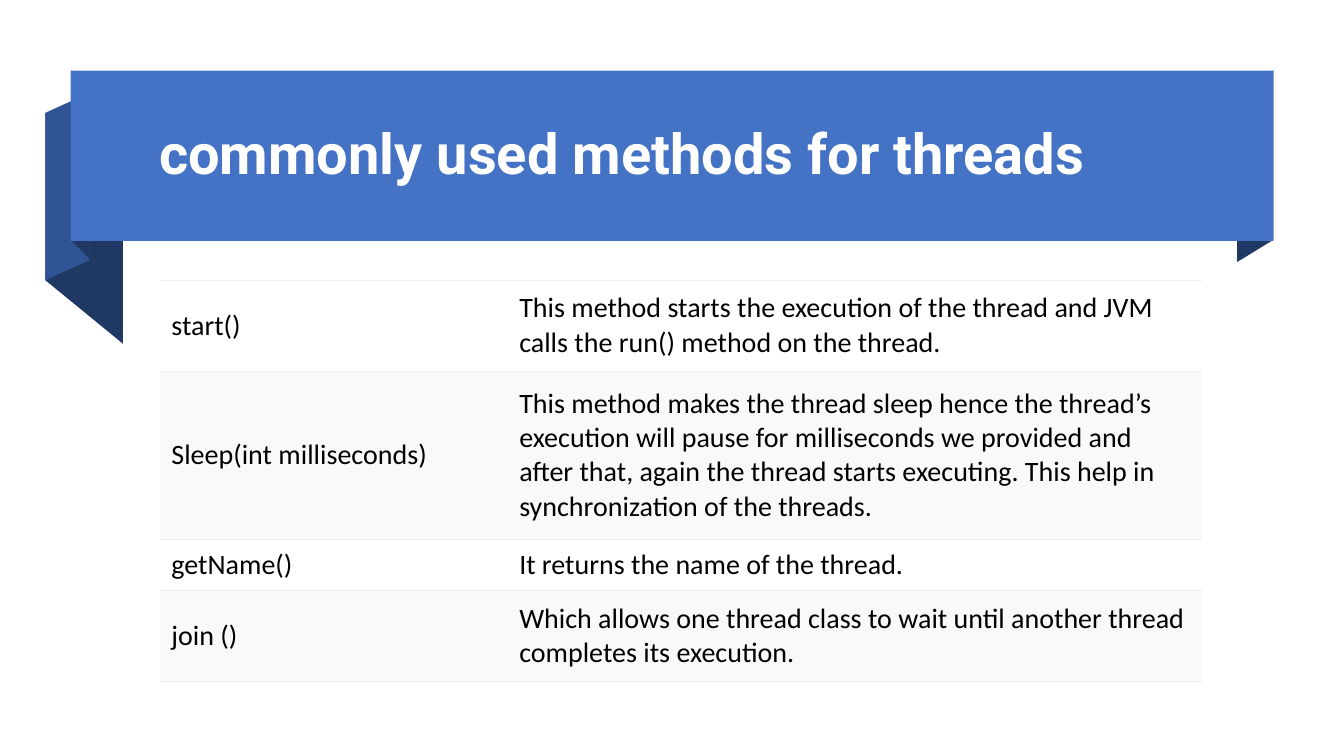
from dataclasses import dataclass
from lxml.etree import SubElement
from pptx import Presentation
from pptx.dml.color import RGBColor
from pptx.enum.shapes import MSO_SHAPE as Shape
from pptx.enum.text import MSO_ANCHOR as Anchor
from pptx.oxml import parse_xml
from pptx.oxml.ns import nsdecls, qn
from pptx.util import Inches, Pt


@dataclass(frozen=True)
class Theme:
    banner: str = "4472C4"
    fold: str = "2F5597"
    shade: str = "203864"
    title_text: str = "FFFFFF"
    body_text: str = "000000"
    rule: str = "EEEEEE"
    bands: tuple = ("FFFFFF", "F9F9F9")
    title_font: str = "Roboto"
    body_font: str = "Calibri"
    title_size: int = 40
    body_size: int = 20


class SlideBuilder:
    """Draw styled elements on one slide."""

    def __init__(self, slide, theme):
        self.slide, self.theme = slide, theme

    def apply(self, target, formats):
        for name, value in formats.items():
            setattr(target, name, value)

    def paint(self, shape, color):
        shape.shadow.inherit = False
        shape.fill.solid()
        shape.fill.fore_color.rgb = RGBColor.from_string(color)
        shape.line.fill.background()

    def add_text(self, frame, text, color, **formats):
        paragraph = frame.paragraphs[0]
        run = paragraph.add_run()
        run.text = text
        self.apply(run.font, formats)
        run.font.color.rgb = RGBColor.from_string(color)
        return paragraph

    def ribbon(self, points, color):
        corners = [(Inches(x), Inches(y)) for x, y in points]
        builder = self.slide.shapes.build_freeform(*corners[0])
        builder.add_line_segments(corners[1:], close=True)
        self.paint(builder.convert_to_shape(), color)

    def banner(self, *box):
        shape = self.slide.shapes.add_shape(Shape.RECTANGLE, *map(Inches, box))
        self.paint(shape, self.theme.banner)

    def title(self, text, *box):
        frame = self.slide.shapes.add_textbox(*map(Inches, box)).text_frame
        self.apply(frame, {"word_wrap": True, "vertical_anchor": Anchor.MIDDLE})
        paragraph = self.add_text(frame, text, self.theme.title_text, bold=True,
                                  name=self.theme.title_font, size=Pt(self.theme.title_size))
        paragraph.line_spacing = 0.9

    def borders(self, cell):
        properties = cell._tc.get_or_add_tcPr()
        for position, side in enumerate(("lnL", "lnR", "lnT", "lnB")):
            line = parse_xml(f'<a:{side} {nsdecls("a")} w="{Pt(0.5)}"/>')
            if side in ("lnT", "lnB"):
                fill = SubElement(line, qn("a:solidFill"))
                SubElement(fill, qn("a:srgbClr"), val=self.theme.rule)
            else:
                SubElement(line, qn("a:noFill"))
            properties.insert(position, line)

    def cell(self, cell, text, color):
        self.apply(cell, {"vertical_anchor": Anchor.MIDDLE,
                          "margin_left": Inches(0.11), "margin_right": Inches(0.11),
                          "margin_top": Inches(0.05), "margin_bottom": Inches(0.05)})
        cell.fill.solid()
        cell.fill.fore_color.rgb = RGBColor.from_string(color)
        self.borders(cell)
        self.add_text(cell.text_frame, text, self.theme.body_text, bold=False,
                      name=self.theme.body_font, size=Pt(self.theme.body_size))

    def table(self, left, top, widths, heights, rows):
        box = map(Inches, (left, top, sum(widths), sum(heights)))
        table = self.slide.shapes.add_table(len(rows), len(widths), *box).table
        self.apply(table, {"first_row": False, "horz_banding": False})
        for column, width in zip(table.columns, widths):
            column.width = Inches(width)
        for index, (row, height, texts) in enumerate(zip(table.rows, heights, rows)):
            row.height = Inches(height)
            for cell, text in zip(row.cells, texts):
                self.cell(cell, text, self.theme.bands[index % 2])


METHODS = [
    ("start()", "This method starts the execution of the thread and JVM calls "
                "the run() method on the thread."),
    ("Sleep(int milliseconds)",
     "This method makes the thread sleep hence the thread’s execution will pause "
     "for milliseconds we provided and after that, again the thread starts "
     "executing. This help in synchronization of the threads."),
    ("getName()", "It returns the name of the thread."),
    ("join ()", "Which allows one thread class to wait until another thread "
                "completes its execution."),
]

theme = Theme()
presentation = Presentation()
presentation.slide_width, presentation.slide_height = Inches(13.33), Inches(7.5)
slide = presentation.slides.add_slide(presentation.slide_layouts[6])
builder = SlideBuilder(slide, theme)

RIBBONS = [
    ([(12.63, 2.38), (12.27, 2.6), (12.27, 0.91), (12.63, 0.7)], theme.shade),
    ([(1.22, 3.41), (0.45, 2.78), (0.45, 1.12), (1.22, 1.75)], theme.shade),
    ([(0.89, 2.58), (0.45, 2.78), (0.45, 1.12), (0.89, 0.92)], theme.fold),
    ([(0.89, 2.57), (0.71, 2.39), (0.71, 0.7), (0.89, 0.89)], theme.shade),
]
for points, color in RIBBONS:
    builder.ribbon(points, color)
builder.banner(0.7, 0.7, 11.93, 1.69)
builder.title("commonly used methods for threads", 1.48, 0.83, 10.94, 1.45)
builder.table(1.59, 2.78, (3.45, 6.88), (0.9, 1.67, 0.51, 0.9), METHODS)

presentation.save("out.pptx")
